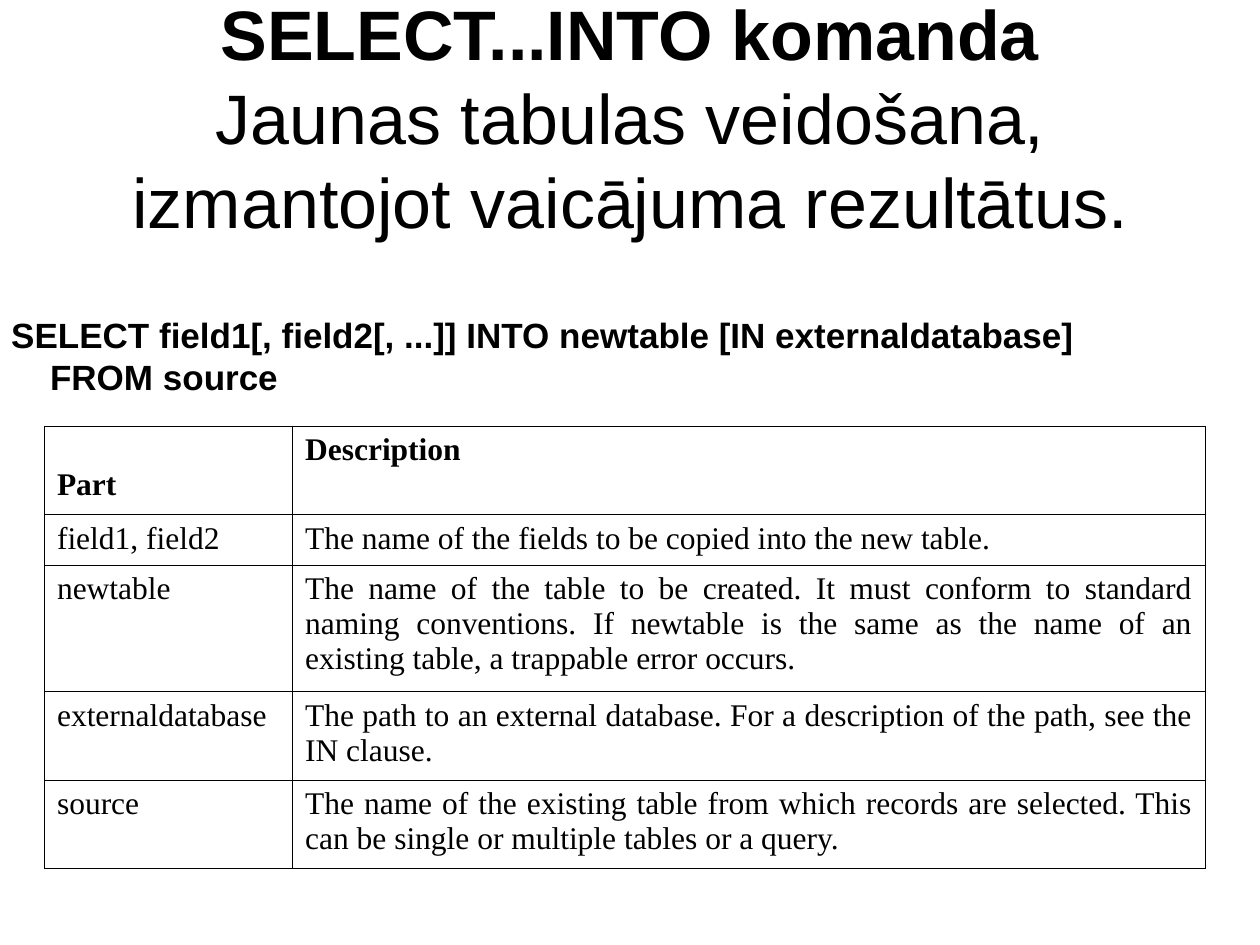
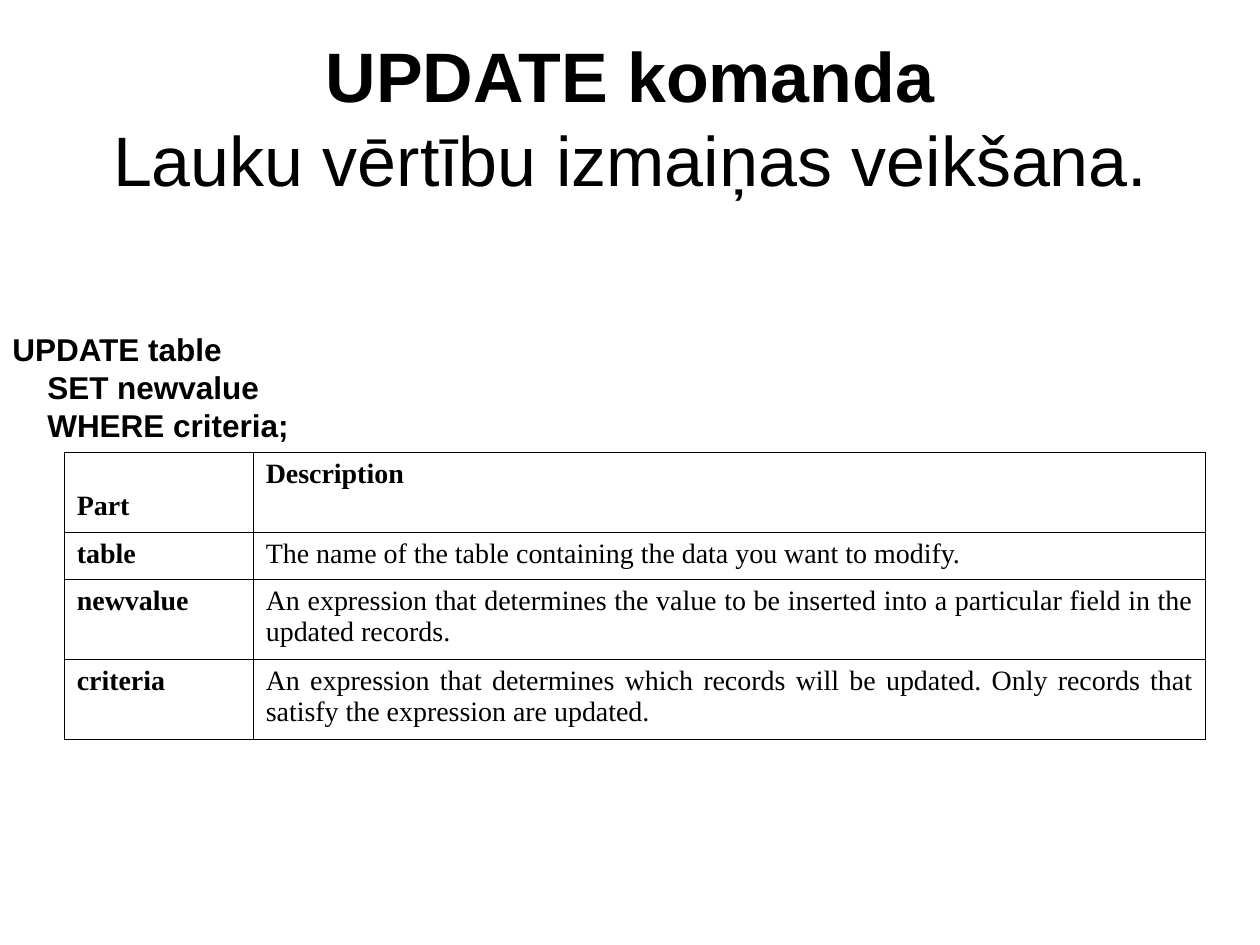
"""Build two slides that explain the SELECT...INTO and UPDATE commands."""
from dataclasses import dataclass

from lxml import etree
from pptx import Presentation
from pptx.dml.color import RGBColor
from pptx.enum.text import MSO_ANCHOR, PP_ALIGN
from pptx.oxml.ns import qn
from pptx.util import Pt

CENTER, LEFT, JUSTIFY = PP_ALIGN.CENTER, PP_ALIGN.LEFT, PP_ALIGN.JUSTIFY
MIDDLE = MSO_ANCHOR.MIDDLE


@dataclass(frozen=True)
class Theme:
    ink: str = "000000"
    paper: str = "FFFFFF"
    sans: str = "Arial"
    serif: str = "Times New Roman"
    title_size: int = 40
    sans_leading: float = 1.2
    border_width: float = 0.45
    header_drop: float = 1.12


THEME = Theme()

SLIDES = [
    dict(
        command="SELECT...INTO komanda",
        purpose="Jaunas tabulas veidošana, izmantojot vaicājuma rezultātus.",
        syntax="SELECT field1[, field2[, ...]] INTO newtable [IN externaldatabase]\n"
               "    FROM source",
        syntax_box=(-0.7, 175.7, 625, 51.8),
        syntax_size=20,
        table_place=(25.4, 243.5),
        columns=(141.8, 521.6),
        row_heights=(50.6, 28.8, 72.4, 50.5, 50.5),
        table_size=18,
        bold_parts=False,
        rows=[
            ("Part", "Description"),
            ("field1, field2", "The name of the fields to be copied into the new table."),
            ("newtable", "The name of the table to be created. It must conform to standard "
                         "naming conventions. If newtable is the same as the name of an "
                         "existing table, a trappable error occurs."),
            ("externaldatabase", "The path to an external database. For a description of "
                                 "the path, see the IN clause."),
            ("source", "The name of the existing table from which records are selected. "
                       "This can be single or multiple tables or a query."),
        ],
    ),
    dict(
        command="UPDATE komanda",
        purpose="Lauku vērtību izmaiņas veikšana.",
        syntax="UPDATE table\n    SET newvalue\n    WHERE criteria;",
        syntax_box=(0, 185, 177, 68.4),
        syntax_size=18,
        table_place=(36.7, 258.5),
        columns=(108, 544.3),
        row_heights=(45.7, 26.9, 45.7, 45.7),
        table_size=16,
        bold_parts=True,
        rows=[
            ("Part", "Description"),
            ("table", "The name of the table containing the data you want to modify."),
            ("newvalue", "An expression that determines the value to be inserted into a "
                         "particular field in the updated records."),
            ("criteria", "An expression that determines which records will be updated. "
                         "Only records that satisfy the expression are updated."),
        ],
    ),
]


def write(paragraph, text, *, size, font, bold=False, align=LEFT, leading=None):
    paragraph.alignment = align
    if leading:
        paragraph.line_spacing = Pt(size * leading)
    for index, line in enumerate(text.split("\n")):
        if index:
            paragraph.add_line_break()
        run = paragraph.add_run()
        run.text = line
        run.font.size = Pt(size)
        run.font.name = font
        run.font.bold = bold
        run.font.color.rgb = RGBColor.from_string(THEME.ink)


def draw_borders(cell):
    properties = cell._tc.get_or_add_tcPr()
    for side in ("a:lnL", "a:lnR", "a:lnT", "a:lnB"):
        line = etree.SubElement(properties, qn(side), w=str(Pt(THEME.border_width)))
        fill = etree.SubElement(line, qn("a:solidFill"))
        etree.SubElement(fill, qn("a:srgbClr"), val=THEME.ink)


presentation = Presentation()
presentation.slide_width, presentation.slide_height = Pt(720), Pt(540)
blank_layout = presentation.slide_layouts[6]

for content in SLIDES:
    slide = presentation.slides.add_slide(blank_layout)

    title = slide.shapes.add_textbox(Pt(36), Pt(21.6), Pt(648), Pt(90)).text_frame
    title.word_wrap = True
    title.vertical_anchor = MIDDLE
    title_format = dict(size=THEME.title_size, font=THEME.sans, align=CENTER,
                        leading=THEME.sans_leading)
    heading = title.paragraphs[0]
    write(heading, content["command"], bold=True, **title_format)
    heading.add_line_break()
    write(heading, content["purpose"], **title_format)

    syntax_box = slide.shapes.add_textbox(*map(Pt, content["syntax_box"]))
    syntax = syntax_box.text_frame
    syntax.word_wrap = False
    syntax.vertical_anchor = MIDDLE
    syntax.margin_bottom = 0
    write(syntax.paragraphs[0], content["syntax"], size=content["syntax_size"],
          font=THEME.sans, bold=True, leading=THEME.sans_leading)

    rows, columns, heights = content["rows"], content["columns"], content["row_heights"]
    left, top = content["table_place"]
    table = slide.shapes.add_table(len(rows), len(columns), Pt(left), Pt(top),
                                   Pt(sum(columns)), Pt(sum(heights))).table
    table.first_row = table.horz_banding = False
    for column, width in zip(table.columns, columns):
        column.width = Pt(width)
    for row_index, (row, height) in enumerate(zip(rows, heights)):
        table.rows[row_index].height = Pt(height)
        for column_index, text in enumerate(row):
            cell = table.cell(row_index, column_index)
            draw_borders(cell)
            cell.fill.solid()
            cell.fill.fore_color.rgb = RGBColor.from_string(THEME.paper)
            is_part = column_index == 0
            write(cell.text_frame.paragraphs[0], text, size=content["table_size"],
                  font=THEME.serif, align=JUSTIFY,
                  bold=row_index == 0 or (is_part and content["bold_parts"]))
    table.cell(0, 0).margin_top = Pt(3.6 + content["table_size"] * THEME.header_drop)

presentation.save("out.pptx")
